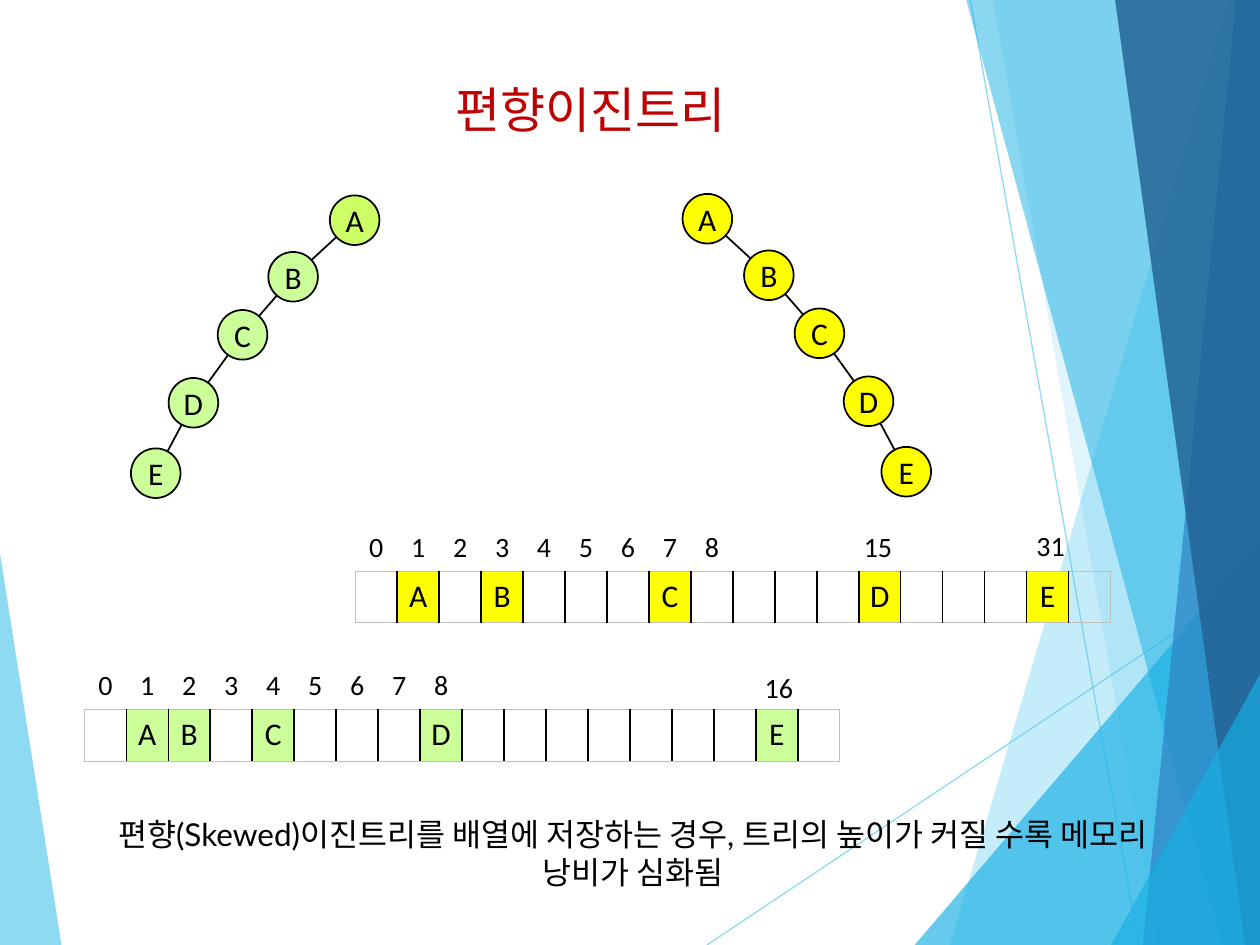
"""Build the slide on skewed binary trees and their array storage."""
from itertools import pairwise

from lxml.etree import SubElement
from pptx import Presentation
from pptx.dml.color import RGBColor
from pptx.enum.shapes import MSO_CONNECTOR as Link, MSO_SHAPE as Form
from pptx.enum.text import MSO_ANCHOR as Anchor, PP_ALIGN as Align
from pptx.oxml.ns import qn
from pptx.util import Cm, Pt

BLACK = RGBColor(0x00, 0x00, 0x00)
GREY = RGBColor(0xBF, 0xBF, 0xBF)
RED = RGBColor(0xC0, 0x00, 0x00)
LIME = RGBColor(0xCC, 0xFF, 0x66)
GREEN = RGBColor(0xCC, 0xFF, 0x99)
YELLOW = RGBColor(0xFF, 0xFF, 0x00)
SKY = RGBColor(0x5F, 0xCB, 0xEF)
CYAN = RGBColor(0x17, 0xB0, 0xE4)
BLUE = RGBColor(0x2E, 0x83, 0xC3)
NAVY = RGBColor(0x22, 0x62, 0x92)
PLAIN_TABLE = "{2D5ABB26-0587-4C30-8999-92F81FD0307C}"
WIDTH, HEIGHT = 25.4, 19.05


def write(holder, text, size=18, font="Calibri", color=BLACK,
          align=Align.CENTER, anchor=Anchor.MIDDLE, inset=0):
    frame = holder.text_frame
    frame.word_wrap = True
    for target in (frame, holder):
        target.vertical_anchor = anchor
    frame.margin_left = frame.margin_right = Cm(inset)
    frame.margin_top = frame.margin_bottom = Cm(inset / 2)
    para = frame.paragraphs[0]
    para.alignment = align
    span = para.add_run()
    span.text = text
    span.font.size = Pt(size)
    span.font.name = font
    span.font.color.rgb = color


def draw_line(start, end, color, width, alpha=100):
    line = slide.shapes.add_connector(Link.STRAIGHT, *map(Cm, (*start, *end)))
    line.line.color.rgb = color
    line.line.width = Pt(width)
    properties = line._element.spPr
    shade = next(properties.iter(qn("a:srgbClr")))
    SubElement(shade, qn("a:alpha"), val=str(alpha * 1000))
    SubElement(properties, qn("a:effectLst"))


deck = Presentation()
deck.slide_width, deck.slide_height = Cm(WIDTH), Cm(HEIGHT)
slide = deck.slides.add_slide(deck.slide_layouts[5])

top_right, bottom_right = (WIDTH, 0), (WIDTH, HEIGHT)
facets = [
    ([(0, 11.15), (1.24, HEIGHT), (0, HEIGHT)], SKY, 70),
    ([(24.76, 0), (19.15, HEIGHT), bottom_right, top_right], SKY, 36),
    ([(20.02, 0), (23.34, HEIGHT), bottom_right, top_right], SKY, 20),
    ([(18.44, HEIGHT), (WIDTH, 10.9), bottom_right], CYAN, 66),
    ([(19.48, 0), (24.64, HEIGHT), bottom_right, top_right], CYAN, 50),
    ([(24.92, 0), (23.04, HEIGHT), bottom_right, top_right], BLUE, 70),
    ([(22.48, 0), (25.1, HEIGHT), bottom_right, top_right], NAVY, 82),
    ([(22.4, HEIGHT), (WIDTH, 13.59), bottom_right], CYAN, 66),
]
draw_line((14.25, HEIGHT), (WIDTH, 11.61), SKY, 0.75, 70)
draw_line((19.56, 0), (22.96, HEIGHT), SKY, 0.75, 70)
for corners, color, alpha in facets:
    points = [(Cm(x), Cm(y)) for x, y in corners]
    builder = slide.shapes.build_freeform(*points[0])
    builder.add_line_segments(points[1:], close=True)
    facet = builder.convert_to_shape()
    facet.shadow.inherit = False
    facet.line.fill.background()
    facet.fill.solid()
    facet.fill.fore_color.rgb = color
    shade = next(facet._element.spPr.iter(qn("a:srgbClr")))
    SubElement(shade, qn("a:alpha"), val=str(alpha * 1000))

title = slide.shapes.title
title.left, title.top, title.width, title.height = map(Cm, (8.94, 1.47, 6.5, 1.45))
write(title, "편향이진트리", size=28, color=RED, align=Align.LEFT,
      anchor=Anchor.TOP, inset=0.25)

node_size = 1
left_nodes = [(6.65, 3.94), (5.41, 5.08), (4.39, 6.25), (3.4, 7.62), (2.64, 9.04)]
right_nodes = [(20.41 - x, y - 0.03) for x, y in left_nodes]
trees = [(left_nodes, [LIME] + [GREEN] * 4), (right_nodes, [YELLOW] * 5)]
for nodes, colors in trees:
    centers = [(x + node_size / 2, y + node_size / 2) for x, y in nodes]
    for start, end in pairwise(centers):
        draw_line(start, end, BLACK, 1)
    for (x, y), letter, color in zip(nodes, "ABCDE", colors):
        node = slide.shapes.add_shape(Form.OVAL, Cm(x), Cm(y), Cm(node_size), Cm(node_size))
        node.shadow.inherit = False
        node.fill.solid()
        node.fill.fore_color.rgb = color
        node.line.color.rgb = BLACK
        node.line.width = Pt(1)
        write(node, letter)

columns = 18
indexes = {number: str(number) for number in range(9)}
green_array = dict(zip((1, 2, 4, 8, 16), "ABCDE"))
yellow_array = dict(zip((1, 3, 7, 12, 16), "ABCDE"))
tables = [
    (1.7, 14.3, green_array, GREEN),
    (1.7, 13.31, indexes, None),
    (7.16, 11.51, yellow_array, YELLOW),
    (7.16, 10.52, indexes, None),
]
for left, top, entries, color in tables:
    table = slide.shapes.add_table(1, columns, Cm(left), Cm(top), Cm(15.24), Cm(1.04)).table
    table.first_row = table.horz_banding = False
    table._tbl.tblPr.find(qn("a:tableStyleId")).text = PLAIN_TABLE
    for column, cell in enumerate(table.rows[0].cells):
        cell.margin_left = cell.margin_right = cell.margin_top = cell.margin_bottom = 0
        if color:
            edges = {"L": column == 0, "R": column == columns - 1, "T": True, "B": True}
            for side, outer in edges.items():
                border = SubElement(cell._tc.get_or_add_tcPr(), qn(f"a:ln{side}"),
                                    w=str(Pt(0.5 if outer else 1)))
                paint = SubElement(border, qn("a:solidFill"))
                SubElement(paint, qn("a:srgbClr"), val=str(GREY if outer else BLACK))
        if color and column in entries:
            cell.fill.solid()
            cell.fill.fore_color.rgb = color
        else:
            cell.fill.background()
        if column in entries:
            write(cell, entries[column], size=18 if color else 16)

for left, top, number in [(15.09, 13.39, "16"), (17.09, 10.54, "15"), (20.57, 10.52, "31")]:
    label = slide.shapes.add_textbox(Cm(left), Cm(top), Cm(1.22), Cm(0.94))
    write(label, number, size=16)

note = slide.shapes.add_textbox(Cm(1.3), Cm(16.31), Cm(22.91), Cm(1.8))
write(note, "편향(Skewed)이진트리를 배열에 저장하는 경우, 트리의 높이가 커질 수록 메모리 낭비가 심화됨",
      font="Lato", anchor=Anchor.TOP, inset=0.25)

deck.save("out.pptx")
